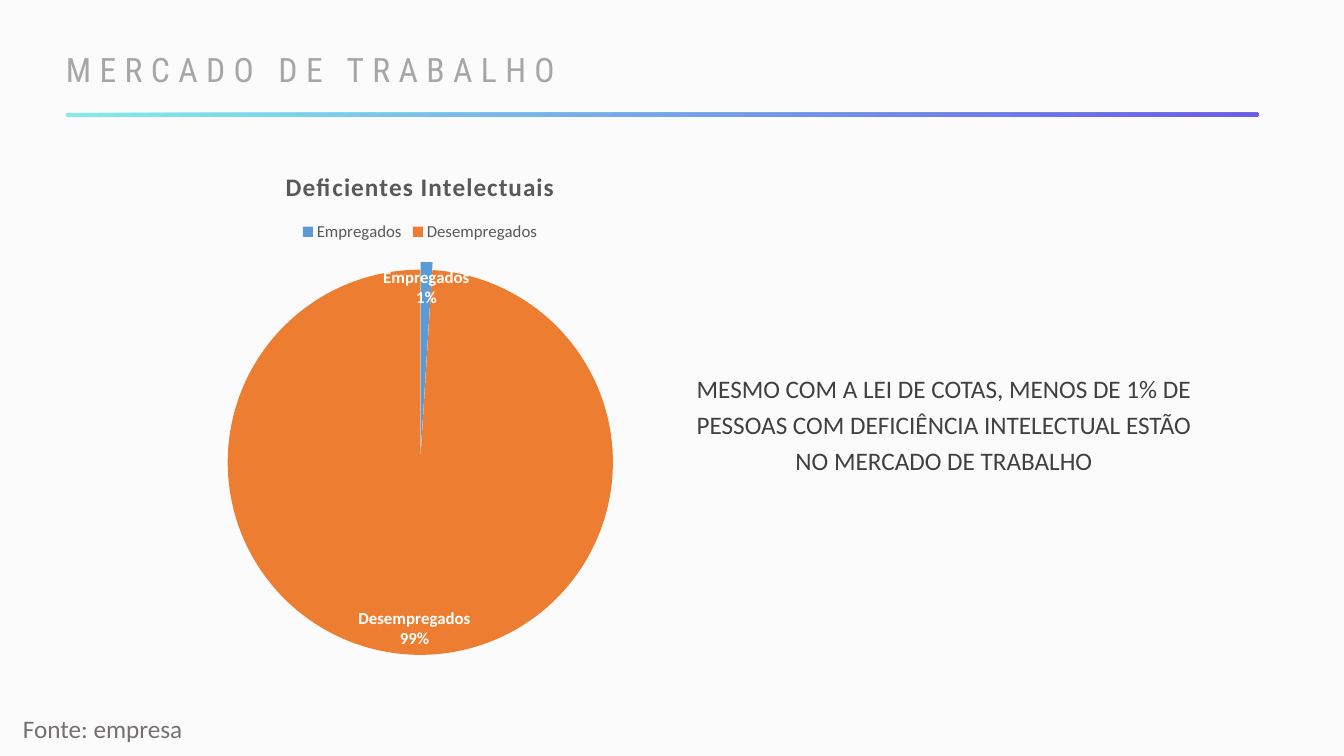
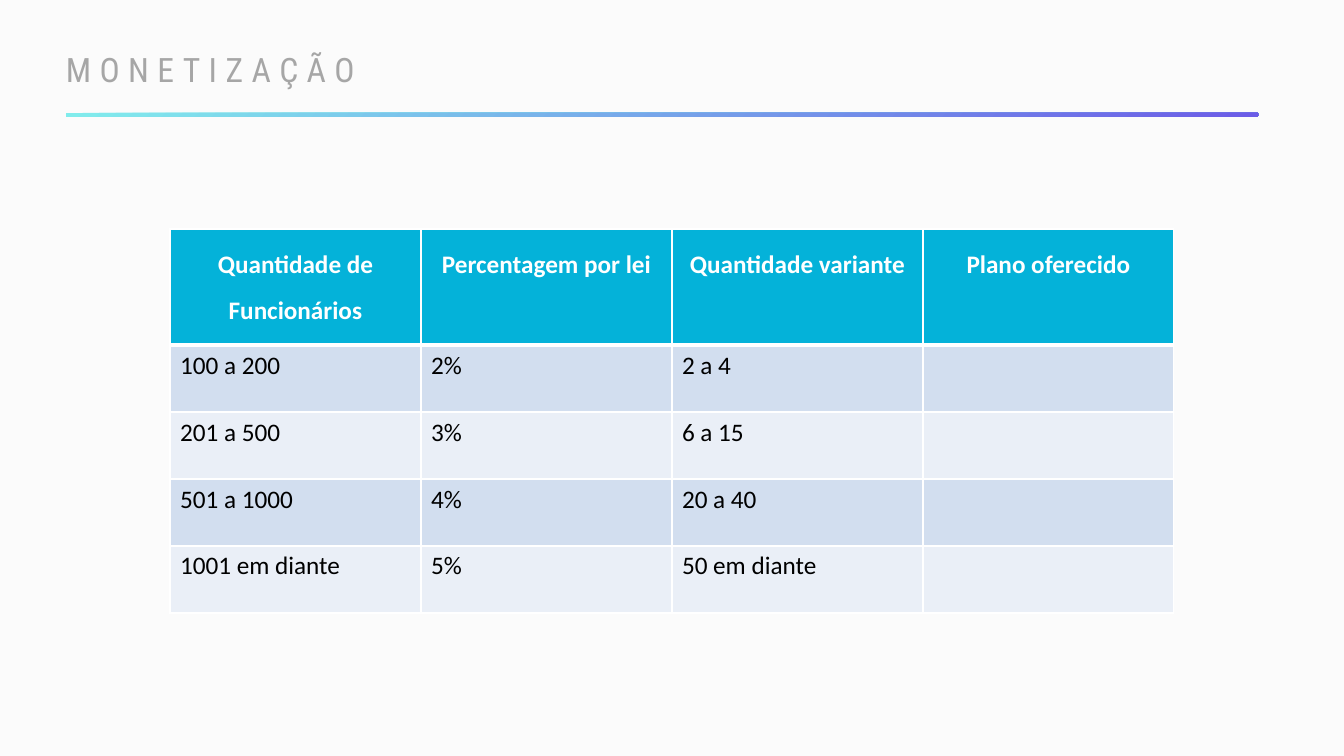
from pptx import Presentation
from pptx import util as u
from pptx.chart.data import CategoryChartData
from pptx.dml.color import RGBColor
from pptx.enum import chart as ch, shapes, text
from pptx.oxml import parse_xml
from pptx.oxml.ns import nsdecls, qn

COLOURS = {
    "background": "FBFBFB", "title": "A6A6A6", "rule_start": "81ECEC", "rule_end": "6C5CE7",
    "source": "767171", "message": "404040", "chart_text": "595959",
    "employed": "5B9BD5", "unemployed": "ED7D31", "white": "FFFFFF", "black": "000000",
    "header": "04B2D9", "odd_row": "D2DEEF", "even_row": "EAEFF7",
}
BODY_FONT = "Calibri"
TITLE_FONT = "Roboto Condensed"


def px(pixels):
    return u.Emu(round(pixels * 914400 / 100.8))


def colour(name):
    return RGBColor.from_string(COLOURS[name])


def style(font, size, colour_name, bold=False, name=BODY_FONT):
    font.size = u.Pt(size)
    font.name = name
    font.bold = bold
    font.color.rgb = colour(colour_name)


def paint(fill, colour_name):
    fill.solid()
    fill.fore_color.rgb = colour(colour_name)


def add_text(slide, box, words, size, colour_name, name=BODY_FONT):
    frame = slide.shapes.add_textbox(*map(px, box)).text_frame
    frame.word_wrap = True
    paragraph = frame.paragraphs[0]
    paragraph.text = words
    style(paragraph.font, size, colour_name, name=name)
    return paragraph


def add_body(slide, box, words, colour_name, align=text.PP_ALIGN.LEFT):
    paragraph = add_text(slide, box, words, 18, colour_name)
    paragraph.alignment = align
    paragraph.line_spacing = 1.2
    paragraph.space_before = u.Pt(10)


def add_rule(slide, box):
    rule = slide.shapes.add_shape(shapes.MSO_SHAPE.ROUND_2_DIAG_RECTANGLE, *map(px, box))
    rule.shadow.inherit = False
    rule.line.fill.background()
    properties = rule._element.spPr
    properties.find(qn("a:xfrm")).set("flipV", "1")
    gradient = parse_xml(
        f'<a:gradFill {nsdecls("a")} rotWithShape="1"><a:gsLst>'
        f'<a:gs pos="0"><a:srgbClr val="{COLOURS["rule_end"]}"/></a:gs>'
        f'<a:gs pos="100000"><a:srgbClr val="{COLOURS["rule_start"]}"/></a:gs></a:gsLst>'
        '<a:path path="circle"><a:fillToRect l="100000" t="100000"/></a:path></a:gradFill>')
    properties.find(qn("a:prstGeom")).addnext(gradient)


def add_titled_slide(deck, title):
    slide = deck.slides.add_slide(deck.slide_layouts[6])
    paint(slide.background.fill, "background")
    heading = add_text(slide, (56, 44, 639, 50), title, 24, "title", TITLE_FONT)
    heading.runs[0]._r.get_or_add_rPr().set("spc", "600")
    add_rule(slide, (66, 113, 1192, 4))
    return slide


def place_pie(chart, box, left, top, diameter):
    width, height = box[2:]
    layout = "".join(
        f'<c:{tag} val="{value:.4f}"/>' for tag, value in (
            ("x", left / width), ("y", top / height),
            ("w", diameter / width), ("h", diameter / height)))
    plot_area = chart._chartSpace.chart.plotArea
    for automatic in plot_area.findall(qn("c:layout")):
        plot_area.remove(automatic)
    plot_area.insert(0, parse_xml(
        f'<c:layout {nsdecls("c")}><c:manualLayout><c:layoutTarget val="inner"/>'
        f'<c:xMode val="edge"/><c:yMode val="edge"/>{layout}</c:manualLayout></c:layout>'))


def add_employment_pie(slide, box):
    data = CategoryChartData()
    data.categories = ["Empregados", "Desempregados"]
    data.add_series("Series 1", (1, 99))
    chart = slide.shapes.add_chart(ch.XL_CHART_TYPE.PIE, *map(px, box), data).chart
    style(chart.font, 10, "black")

    chart.has_title = True
    title = chart.chart_title.text_frame.paragraphs[0]
    title.text = "Deficientes Intelectuais"
    style(title.font, 18, "chart_text", bold=True)
    title.runs[0]._r.get_or_add_rPr().set("spc", "75")

    chart.has_legend = True
    chart.legend.position = ch.XL_LEGEND_POSITION.TOP
    chart.legend.include_in_layout = False
    style(chart.legend.font, 12, "chart_text")

    plot = chart.plots[0]
    plot.vary_by_categories = True
    series = plot.series[0]
    for index, name in enumerate(("employed", "unemployed")):
        paint(series.points[index].format.fill, name)
    series._element.find(qn("c:dPt")).addprevious(
        parse_xml(f'<c:explosion {nsdecls("c")} val="2"/>'))

    labels = series.data_labels
    labels.show_category_name = True
    labels.show_percentage = True
    labels.show_value = False
    labels.number_format = "0%"
    labels.number_format_is_linked = False
    labels.position = ch.XL_LABEL_POSITION.INSIDE_END
    style(labels.font, 12, "white", bold=True)
    labels._element.find(qn("c:showBubbleSize")).addnext(
        parse_xml(f'<c:separator {nsdecls("c")}>\n</c:separator>'))
    place_pie(chart, box, 211, 113, 393)


def add_borders(cell, bottom):
    properties = cell._tc.get_or_add_tcPr()
    for index, (side, points) in enumerate((("L", 1), ("R", 1), ("T", 1), ("B", bottom))):
        properties.insert(index, parse_xml(
            f'<a:ln{side} {nsdecls("a")} w="{u.Pt(points)}"><a:solidFill>'
            f'<a:srgbClr val="{COLOURS["white"]}"/></a:solidFill></a:ln{side}>'))


def add_plans_table(slide, box, header_height, rows):
    left, top, width, height = box
    columns = len(rows[0])
    table = slide.shapes.add_table(len(rows), columns, *map(px, box)).table
    table.horz_banding = False
    for column in table.columns:
        column.width = px(width / columns)
    for r, values in enumerate(rows):
        header = r == 0
        table.rows[r].height = px(
            header_height if header else (height - header_height) / (len(rows) - 1))
        for c, value in enumerate(values):
            cell = table.cell(r, c)
            paint(cell.fill, "header" if header else "odd_row" if r % 2 else "even_row")
            add_borders(cell, 3 if header or r == 0 else 1)
            paragraph = cell.text_frame.paragraphs[0]
            if value:
                paragraph.text = value
            style(paragraph.font, 18, "white" if header else "black", bold=header)
            if header:
                paragraph.alignment = text.PP_ALIGN.CENTER
                paragraph.line_spacing = 1.5


def build_market(deck):
    slide = add_titled_slide(deck, "MERCADO DE TRABALHO")
    add_body(slide, (13, 702, 259, 54), "Fonte: empresa", "source")
    add_employment_pie(slide, (13, 149, 814, 520))
    add_body(
        slide, (672, 362, 544, 142),
        "MESMO COM A LEI DE COTAS, MENOS DE 1% DE PESSOAS COM DEFICIÊNCIA "
        "INTELECTUAL ESTÃO NO MERCADO DE TRABALHO",
        "message", text.PP_ALIGN.CENTER)


def build_monetization(deck):
    slide = add_titled_slide(deck, "MONETIZAÇÃO")
    add_plans_table(slide, (170, 229, 1004, 384), 116, [
        ("Quantidade de Funcionários", "Percentagem por lei",
         "Quantidade variante", "Plano oferecido"),
        ("100 a 200", "2%", "2 a 4", ""),
        ("201 a 500", "3%", "6 a 15", ""),
        ("501 a 1000", "4%", "20 a 40", ""),
        ("1001 em diante", "5%", "50 em diante", ""),
    ])


deck = Presentation()
deck.slide_width = px(1344)
deck.slide_height = px(756)
build_market(deck)
build_monetization(deck)
deck.save("out.pptx")
